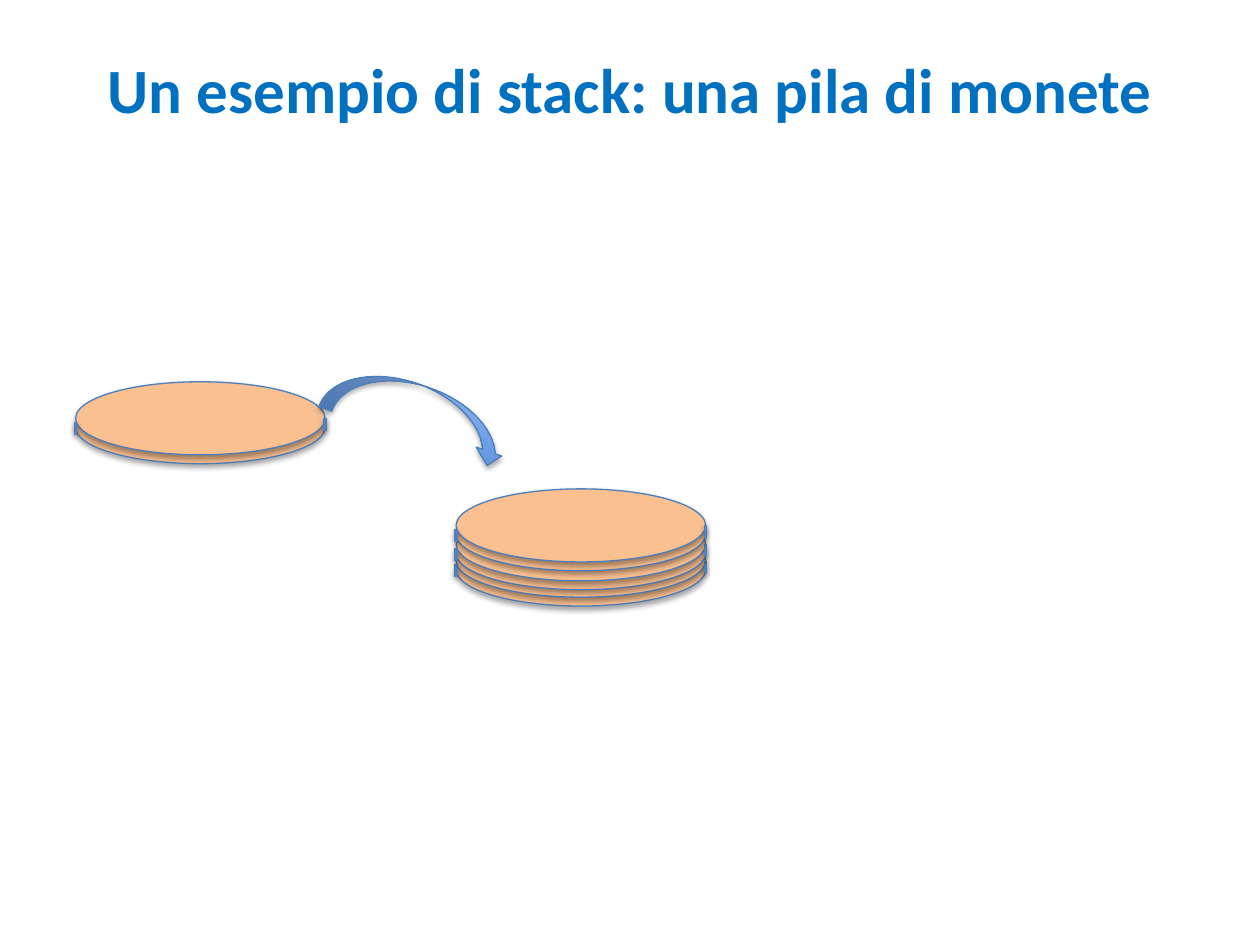
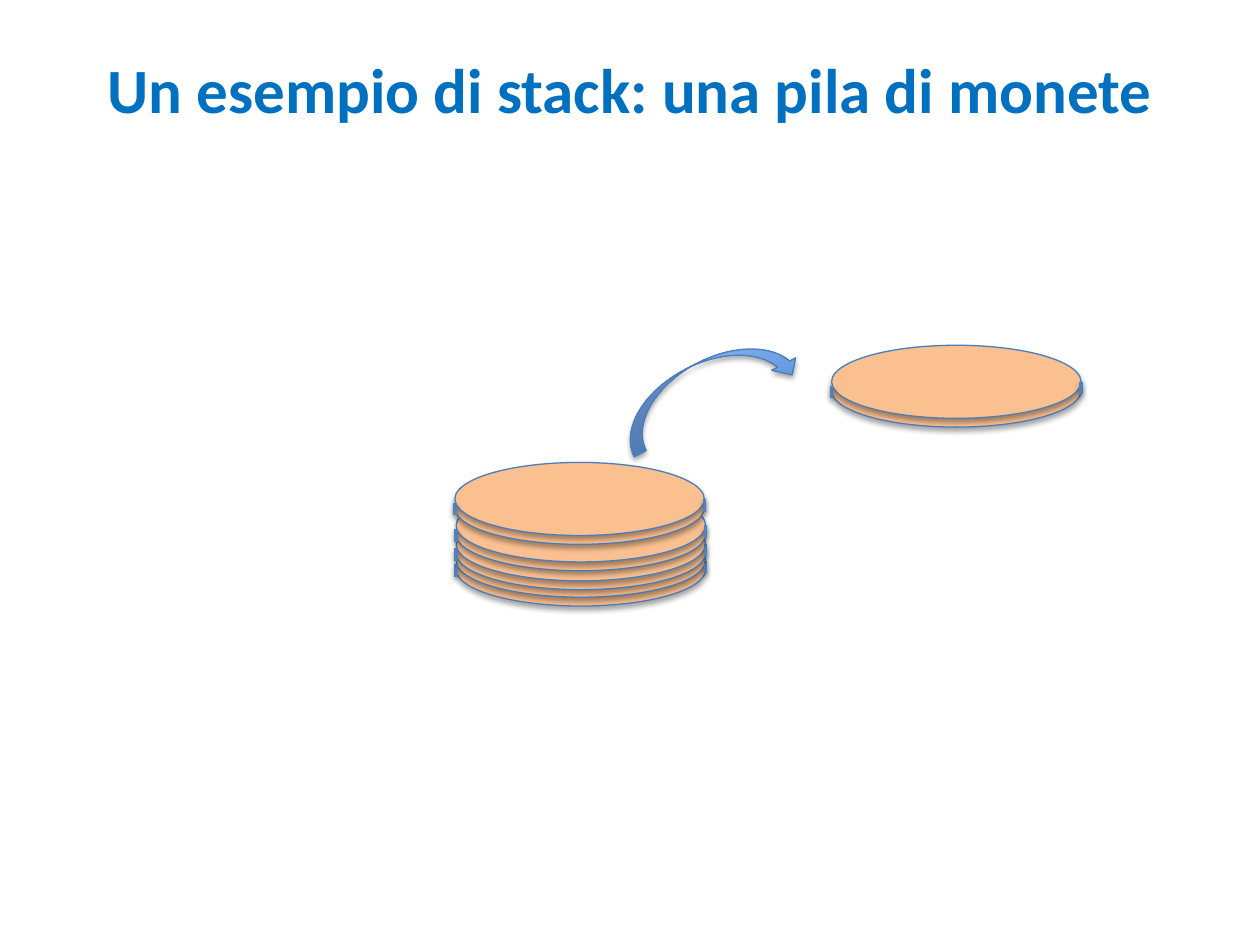
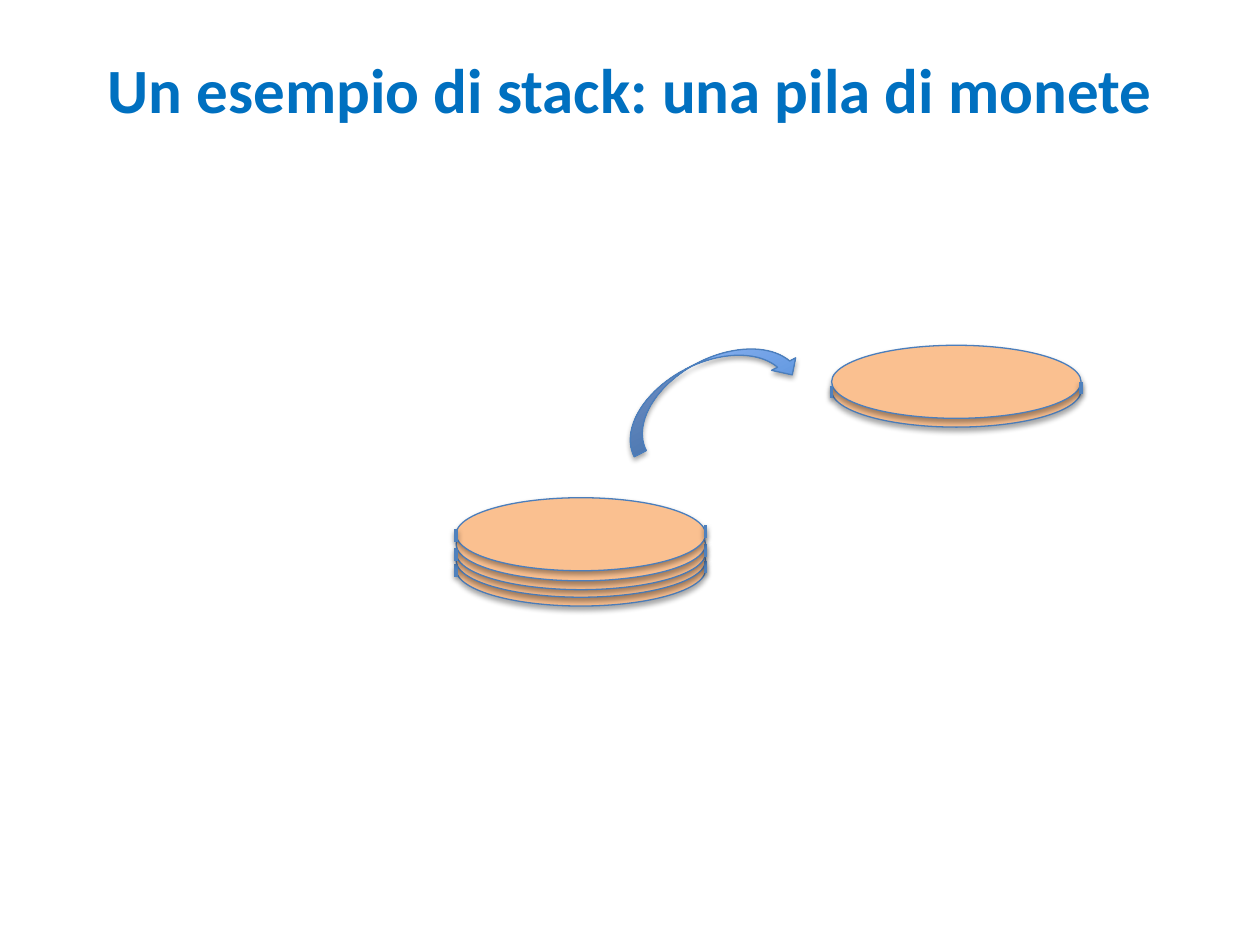
from lxml.etree import SubElement
from pptx import Presentation
from pptx.dml.color import RGBColor
from pptx.enum.shapes import MSO_CONNECTOR, MSO_SHAPE
from pptx.enum.text import MSO_ANCHOR, PP_ALIGN
from pptx.oxml.ns import qn
from pptx.util import Inches, Pt

FONT = "Calibri"
TITLE = "Un esempio di stack: una pila di monete"
TITLE_BLUE, COIN, OUTLINE, EDGE = "0070C0", "FAC090", "4B7EBC", "4F81BD"
ARROW_STOPS = ("3F80CE", "A4C4FF")
COIN_W, DISC_H, THICKNESS = 1.98, 0.58, 0.07
PILE_X, PILE_TOPS = 3.62, (4.16, 4.03, 3.88)


def rgb(color):
    """Turn a hex string into a colour."""
    return RGBColor.from_string(color)


def add_shadow(s, alpha, dist):
    """Give a shape or connector a soft shadow straight below it."""
    props = s._element.spPr
    effects = props.find(qn("a:effectLst"))
    if effects is None:
        effects = SubElement(props, qn("a:effectLst"))
    shadow = SubElement(effects, qn("a:outerShdw"), blurRad=str(Pt(3.1)),
                        dist=str(Pt(dist)), dir="5400000", rotWithShape="0")
    color = SubElement(shadow, qn("a:srgbClr"), val="000000")
    SubElement(color, qn("a:alpha"), val=str(alpha * 1000))


def add_outlined(shapes, kind, x, y, w, h):
    """Add a preset shape with the common outline and shadow."""
    s = shapes.add_shape(kind, Inches(x), Inches(y), Inches(w), Inches(h))
    s.line.color.rgb = rgb(OUTLINE)
    s.line.width = Pt(0.75)
    s.shadow.inherit = False
    add_shadow(s, 35, 1.8)
    return s


def add_edge(shapes, x, y):
    """Draw the short upright line at one side of a coin."""
    line = shapes.add_connector(MSO_CONNECTOR.STRAIGHT, Inches(x), Inches(y),
                                Inches(x), Inches(y + 0.1))
    line.line.color.rgb = rgb(EDGE)
    line.line.width = Pt(2)
    add_shadow(line, 38, 1.6)


def add_coin(slide, x, y, has_face=True):
    """Draw a coin from its top left corner, with or without its upper face."""
    shapes = slide.shapes.add_group_shape().shapes if has_face else slide.shapes
    for top in (y + THICKNESS, y)[:2 if has_face else 1]:
        s = add_outlined(shapes, MSO_SHAPE.OVAL, x, top, COIN_W, DISC_H)
        s.fill.solid()
        s.fill.fore_color.rgb = rgb(COIN)
    add_edge(shapes, x + COIN_W, y + 0.29)
    add_edge(shapes, x, y + 0.32)


def add_pile(slide, has_top_face=True):
    """Stack the pile of coins from the bottom up."""
    *lower, top = PILE_TOPS
    for y in lower:
        add_coin(slide, PILE_X, y)
    add_coin(slide, PILE_X, top, has_top_face)


def add_arrow(slide, x, y, rotation):
    """Draw the curved arrow that shows a coin moving."""
    s = add_outlined(slide.shapes, MSO_SHAPE.CURVED_DOWN_ARROW, x, y, 1.52, 0.43)
    s.rotation = rotation
    s.fill.gradient()
    s.fill.gradient_angle = 90
    for stop, color, position in zip(s.fill.gradient_stops, ARROW_STOPS, (0, 1)):
        stop.color.rgb = rgb(color)
        stop.position = position


def add_title(slide, x, y, w, h):
    """Write the centred slide title."""
    tf = slide.shapes.add_textbox(Inches(x), Inches(y), Inches(w), Inches(h)).text_frame
    tf.word_wrap = True
    tf.vertical_anchor = MSO_ANCHOR.MIDDLE
    p = tf.paragraphs[0]
    p.alignment = PP_ALIGN.CENTER
    r = p.add_run()
    r.text = TITLE
    r.font.name = FONT
    r.font.size = Pt(36)
    r.font.bold = True
    r.font.color.rgb = rgb(TITLE_BLUE)


def new_slide(prs):
    """Add a blank slide with the shared title."""
    slide = prs.slides.add_slide(prs.slide_layouts[6])
    add_title(slide, 0.5, 0.36, 9, 0.68)
    return slide


def push_slide(prs):
    """Show a coin about to be put on the pile."""
    slide = new_slide(prs)
    add_coin(slide, 0.6, 3.03)
    add_pile(slide)
    add_arrow(slide, 2.56, 3.06, 19.2)


def pop_slide(prs, has_extra_coin):
    """Show a coin taken off the pile."""
    slide = new_slide(prs)
    add_pile(slide, has_top_face=has_extra_coin)
    if has_extra_coin:
        add_coin(slide, 3.61, 3.67)
    add_coin(slide, 6.6, 2.74)
    add_arrow(slide, 4.85, 2.87, 332.6)


def main():
    """Build the three slides and save them."""
    prs = Presentation()
    prs.slide_width, prs.slide_height = Inches(10), Inches(7.5)
    push_slide(prs)
    pop_slide(prs, has_extra_coin=True)
    pop_slide(prs, has_extra_coin=False)
    prs.save("out.pptx")


main()
